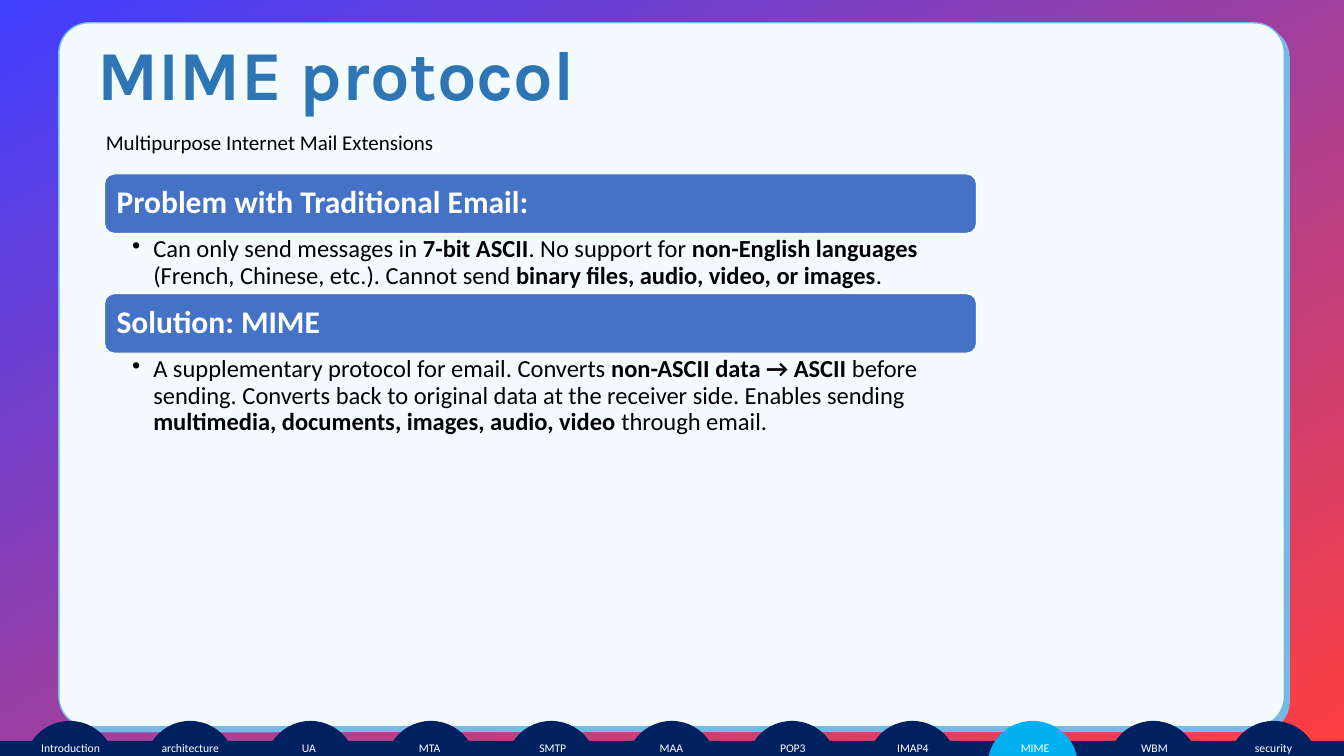
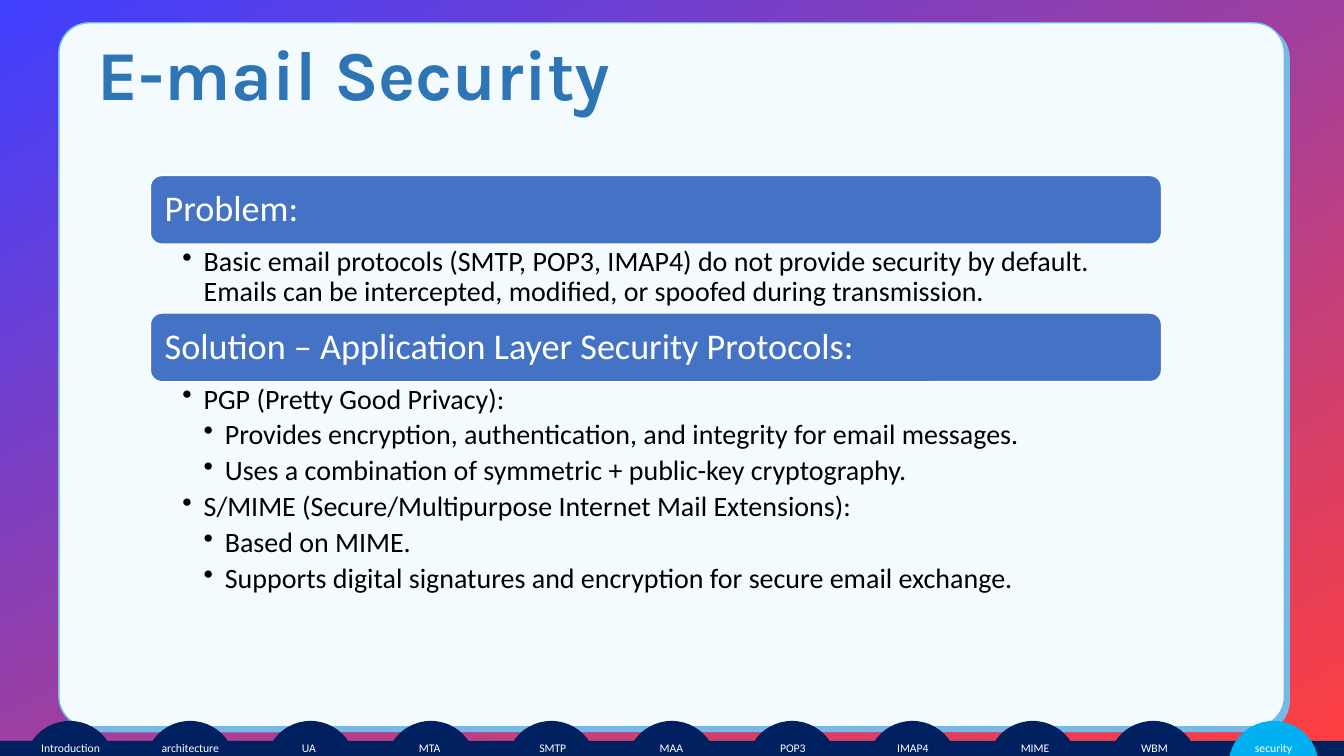
from dataclasses import dataclass

from lxml import etree
from pptx import Presentation
from pptx import util as u
from pptx.dml.color import RGBColor
from pptx.enum import shapes, text
from pptx.oxml.ns import qn

GRADIENT_BLUE = RGBColor(0x3F, 0x3F, 0xFF)
GRADIENT_RED = RGBColor(0xFF, 0x3F, 0x3F)
PANEL = RGBColor(0xF4, 0xFB, 0xFF)
PANEL_EDGE = RGBColor(0x75, 0xBA, 0xE6)
TITLE_BLUE = RGBColor(0x2E, 0x75, 0xB6)
HEADING_BLUE = RGBColor(0x44, 0x72, 0xC4)
NAVY = RGBColor(0x00, 0x20, 0x60)
ACTIVE_TAB = RGBColor(0x00, 0xB0, 0xF0)
WHITE = RGBColor(0xFF, 0xFF, 0xFF)
BLACK = RGBColor(0x00, 0x00, 0x00)

TITLE_FONT = "Karla"
BODY_FONT = "Calibri"
SLIDE_WIDTH, SLIDE_HEIGHT = 40.64, 22.86
BULLET_INDENT = u.Cm(0.64)

# Label, left inset in cm, wraps
TABS = [
    ("Introduction", 0.1, False),
    ("architecture", 0.1, False),
    ("UA", 0.7, True),
    ("MTA", 0.6, True),
    ("SMTP", 0.6, True),
    ("MAA", 0.6, True),
    ("POP3", 0.6, True),
    ("IMAP4", 0.5, False),
    ("MIME", 0.6, True),
    ("WBM", 0.6, True),
    ("security", 0.4, False),
]


@dataclass
class SectionLayout:
    """Place and type sizes of a stack of headed sections, lengths in cm."""
    left: float
    top: float
    width: float
    heading_height: float
    heading_inset: float
    heading_size: int
    heading_bold: bool
    body_size: int


MIME_LAYOUT = SectionLayout(3.16, 5.26, 26.37, 1.8, 0.28, 27, True, 21)
SECURITY_LAYOUT = SectionLayout(4.55, 5.31, 30.57, 2.07, 0.33, 31, False, 24)

# Heading, body height in cm, list of (level, text); ** marks bold spans
MIME_SECTIONS = [
    ("Problem with Traditional Email:", 1.82, [
        (1, "Can only send messages in **7-bit ASCII**. No support for "
            "**non-English languages** (French, Chinese, etc.). Cannot send "
            "**binary files, audio, video, or images**."),
    ]),
    ("Solution: MIME", 2.64, [
        (1, "A supplementary protocol for email. Converts **non-ASCII data → ASCII** "
            "before sending. Converts back to original data at the receiver side. "
            "Enables sending **multimedia, documents, images, audio, video** "
            "through email."),
    ]),
]
SECURITY_SECTIONS = [
    ("Problem:", 2.09, [
        (1, "Basic email protocols (SMTP, POP3, IMAP4) do not provide security by "
            "default. Emails can be intercepted, modified, or spoofed during "
            "transmission."),
    ]),
    ("Solution – Application Layer Security Protocols:", 6.96, [
        (1, "PGP (Pretty Good Privacy):"),
        (2, "Provides encryption, authentication, and integrity for email messages."),
        (2, "Uses a combination of symmetric + public-key cryptography."),
        (1, "S/MIME (Secure/Multipurpose Internet Mail Extensions):"),
        (2, "Based on MIME."),
        (2, "Supports digital signatures and encryption for secure email exchange."),
    ]),
]


def place(left, top, width, height):
    return [u.Cm(length) for length in (left, top, width, height)]


def add_span(para, words, size, color, bold=False, font=BODY_FONT):
    span = para.add_run()
    span.text = words
    span.font.name = font
    span.font.size = u.Pt(size)
    span.font.bold = bold
    span.font.color.rgb = color


def set_frame(box, insets, wrap=True, anchor=text.MSO_ANCHOR.TOP):
    """Set insets (left, top, right, bottom in cm), wrapping and anchor."""
    frame = box.text_frame
    (frame.margin_left, frame.margin_top,
     frame.margin_right, frame.margin_bottom) = place(*insets)
    frame.word_wrap = wrap
    frame.vertical_anchor = anchor
    return frame


def add_filled(parent, kind, area, fill, line=None, line_width=1):
    shape = parent.shapes.add_shape(kind, *place(*area))
    shape.shadow.inherit = False
    shape.fill.solid()
    shape.fill.fore_color.rgb = fill
    if line is None:
        shape.line.fill.background()
    else:
        shape.line.color.rgb = line
        shape.line.width = u.Pt(line_width)
    return shape


def add_hard_shadow(shape, color, distance, degrees):
    effects = shape._element.spPr.find(qn("a:effectLst"))
    shadow = etree.SubElement(
        effects, qn("a:outerShdw"), blurRad="0", dist=str(distance),
        dir=str(degrees * 60000), algn="tl", rotWithShape="0")
    etree.SubElement(shadow, qn("a:srgbClr"), val=str(color))


def set_background(page):
    fill = page.background.fill
    fill.gradient()
    fill.gradient_angle = 300
    for stop, color in zip(fill.gradient_stops, (GRADIENT_BLUE, GRADIENT_RED)):
        stop.color.rgb = color


def add_panel(page):
    panel = add_filled(page, shapes.MSO_SHAPE.ROUNDED_RECTANGLE,
                       (1.78, 0.69, 37.06, 21.29), PANEL, PANEL_EDGE, 1.2)
    panel.adjustments[0] = 0.043
    add_hard_shadow(panel, PANEL_EDGE, u.Pt(5.7), 45)


def add_title(page, title):
    box = page.shapes.add_textbox(*place(2.95, 2.39, 18, 1.07))
    para = set_frame(box, (0, 0, 0, 0)).paragraphs[0]
    para.line_spacing = u.Pt(30)
    add_span(para, title, 60, TITLE_BLUE, True, TITLE_FONT)


def add_subtitle(page, subtitle):
    box = page.shapes.add_textbox(*place(2.95, 3.78, 11.3, 1.02))
    box.text_frame.word_wrap = True
    add_span(box.text_frame.paragraphs[0], subtitle, 18, BLACK)


def add_tabs(page, active):
    """Draw the navigation band with one round tab per topic."""
    add_filled(page, shapes.MSO_SHAPE.RECTANGLE,
               (0, 22.4, SLIDE_WIDTH, SLIDE_HEIGHT - 22.4), NAVY)
    for index, (label, inset, wrap) in enumerate(TABS):
        tab = add_filled(page, shapes.MSO_SHAPE.OVAL,
                         (0.75 + 3.64 * index, 21.8, 2.72, 2.67),
                         ACTIVE_TAB if label == active else NAVY)
        para = set_frame(tab, (inset, 0.2, 0.4, 0), wrap).paragraphs[0]
        para.alignment = text.PP_ALIGN.JUSTIFY
        add_span(para, label, 10, WHITE)


def format_bullet(para, level, size):
    para.level = level
    properties = para._p.get_or_add_pPr()
    properties.set("marL", str(BULLET_INDENT * level))
    properties.set("indent", str(-BULLET_INDENT))
    etree.SubElement(properties, qn("a:buChar"), char="•")
    para.line_spacing = 0.9
    para.space_after = u.Pt(round(size * 0.2, 1))
    para.font.size = u.Pt(size)
    para.font.name = BODY_FONT


def add_heading(group, layout, top, heading):
    bar = add_filled(group, shapes.MSO_SHAPE.ROUNDED_RECTANGLE,
                     (layout.left, top, layout.width, layout.heading_height),
                     HEADING_BLUE, WHITE)
    frame = set_frame(bar, [layout.heading_inset] * 4,
                      anchor=text.MSO_ANCHOR.MIDDLE)
    para = frame.paragraphs[0]
    para.alignment = text.PP_ALIGN.LEFT
    para.line_spacing = 0.9
    add_span(para, heading, layout.heading_size, WHITE, layout.heading_bold)


def add_bullets(group, layout, top, height, bullets):
    box = group.shapes.add_textbox(*place(layout.left, top, layout.width, height))
    frame = set_frame(box, (layout.width * 0.0317, 0.1, layout.width * 0.02, 0.1))
    for index, (level, words) in enumerate(bullets):
        para = frame.add_paragraph() if index else frame.paragraphs[0]
        format_bullet(para, level, layout.body_size)
        for position, part in enumerate(words.split("**")):
            add_span(para, part, layout.body_size, BLACK, position % 2 == 1)


def add_sections(page, layout, sections):
    group = page.shapes.add_group_shape()
    top = layout.top
    for heading, body_height, bullets in sections:
        add_heading(group, layout, top, heading)
        top += layout.heading_height
        add_bullets(group, layout, top, body_height, bullets)
        top += body_height


def add_page(deck, title, tab, layout, sections, subtitle=None):
    page = deck.slides.add_slide(deck.slide_layouts[6])
    set_background(page)
    add_panel(page)
    add_title(page, title)
    if subtitle:
        add_subtitle(page, subtitle)
    add_sections(page, layout, sections)
    add_tabs(page, tab)


def main():
    deck = Presentation()
    deck.slide_width, deck.slide_height = u.Cm(SLIDE_WIDTH), u.Cm(SLIDE_HEIGHT)
    add_page(deck, "MIME protocol", "MIME", MIME_LAYOUT, MIME_SECTIONS,
             "Multipurpose Internet Mail Extensions")
    add_page(deck, "E-mail Security", "security", SECURITY_LAYOUT, SECURITY_SECTIONS)
    deck.save("out.pptx")


if __name__ == "__main__":
    main()
